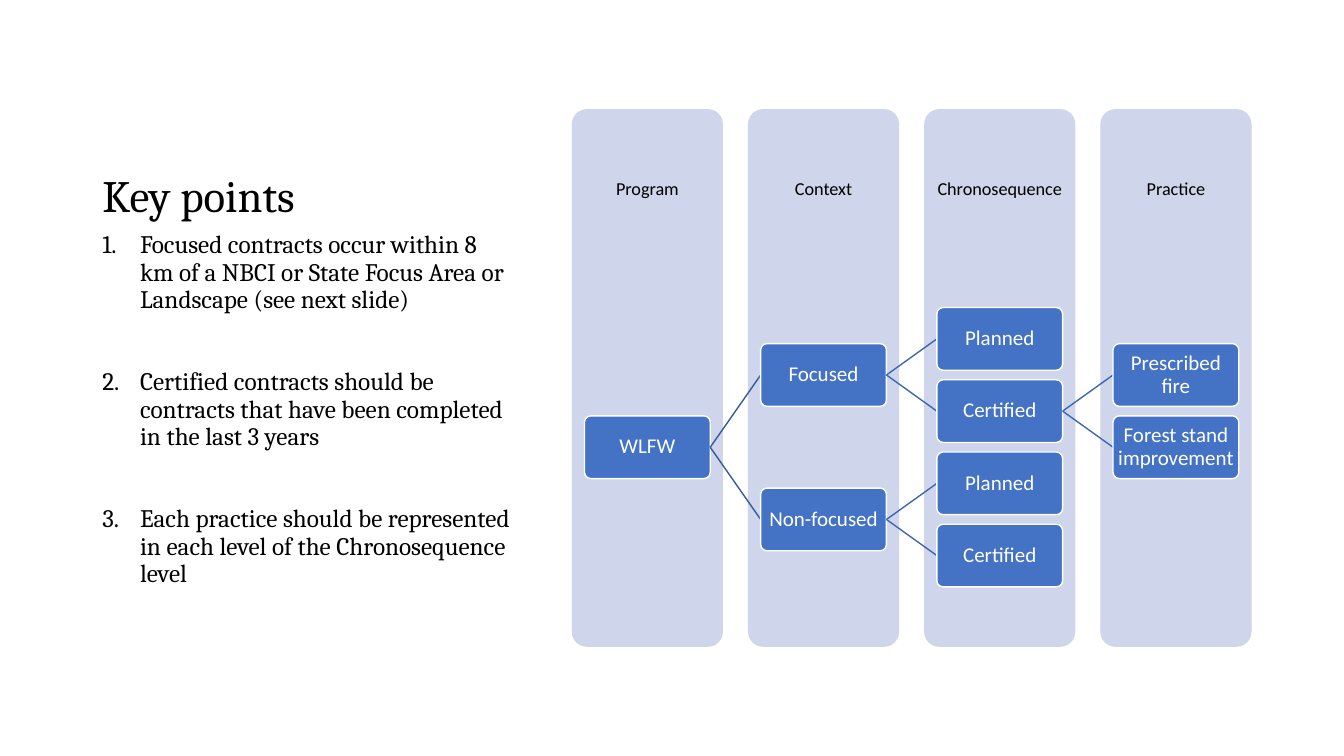
import dataclasses
import typing

import lxml.etree
import pptx
import pptx.dml.color
import pptx.enum.shapes
import pptx.enum.text
import pptx.oxml.ns
import pptx.util

Cm = pptx.util.Cm
Pt = pptx.util.Pt
RGBColor = pptx.dml.color.RGBColor
ALIGN = pptx.enum.text.PP_ALIGN
ANCHOR = pptx.enum.text.MSO_ANCHOR
ROUNDED = pptx.enum.shapes.MSO_SHAPE.ROUNDED_RECTANGLE
STRAIGHT = pptx.enum.shapes.MSO_CONNECTOR.STRAIGHT

BLACK = RGBColor(0x00, 0x00, 0x00)
WHITE = RGBColor(0xFF, 0xFF, 0xFF)
COLUMN_FILL = RGBColor(0xCF, 0xD5, 0xEA)
NODE_FILL = RGBColor(0x44, 0x72, 0xC4)
FIRST_LINK = RGBColor(0x36, 0x5B, 0x9D)
LATER_LINK = RGBColor(0x3E, 0x67, 0xB2)

COLUMN_LEFT, COLUMN_TOP = 14.41, 2.75
COLUMN_WIDTH, COLUMN_HEIGHT = 3.81, 13.55
COLUMN_STEP = 4.44
HEADING_HEIGHT = 4.06
NODE_WIDTH, NODE_HEIGHT = 3.17, 1.58
NODE_LEFT = COLUMN_LEFT + (COLUMN_WIDTH - NODE_WIDTH) / 2
NODE_TOP, HALF_ROW = 7.75, 0.91
TEXT_LEFT, TEXT_WIDTH = 2.33, 10.92

COLUMNS = ["Program", "Context", "Chronosequence", "Practice"]
KEY_POINTS = [
    "Focused contracts occur within 8 km of a NBCI or State Focus Area or Landscape (see next slide)",
    "Certified contracts should be contracts that have been completed in the last 3 years",
    "Each practice should be represented in each level of the Chronosequence level",
]


@dataclasses.dataclass(frozen=True)
class Node:
    label: str
    row: int
    children: typing.Tuple["Node", ...] = ()


@dataclasses.dataclass(frozen=True)
class TextStyle:
    font: str
    size: int
    color: RGBColor
    align: ALIGN
    anchor: ANCHOR
    margins: typing.Tuple[float, float] = (0.25, 0.13)
    gap: float = 0


TREE = Node("WLFW", 3, (
    Node("Focused", 1, (
        Node("Planned", 0),
        Node("Certified", 2, (
            Node("Prescribed fire", 1),
            Node("Forest stand improvement", 3),
        )),
    )),
    Node("Non-focused", 5, (
        Node("Planned", 4),
        Node("Certified", 6),
    )),
))

TITLE_STYLE = TextStyle("Cambria", 32, BLACK, ALIGN.LEFT, ANCHOR.BOTTOM)
POINT_STYLE = TextStyle("Cambria", 18, BLACK, ALIGN.LEFT, ANCHOR.TOP, gap=39.5)
HEADING_STYLE = TextStyle("Calibri", 13, BLACK, ALIGN.CENTER, ANCHOR.MIDDLE, (0.25, 0.25))
NODE_STYLE = TextStyle("Calibri", 15, WHITE, ALIGN.CENTER, ANCHOR.MIDDLE, (0.08, 0.08))


def apply_format(target: typing.Any, values: typing.Dict[str, typing.Any]) -> None:
    for name, value in values.items():
        setattr(target, name, value)


def write_text(box: typing.Any, lines: typing.List[str], style: TextStyle) -> None:
    frame = box.text_frame
    side, edge = style.margins
    apply_format(frame, {
        "word_wrap": True,
        "auto_size": pptx.enum.text.MSO_AUTO_SIZE.NONE,
        "vertical_anchor": style.anchor,
        "margin_left": Cm(side),
        "margin_right": Cm(side),
        "margin_top": Cm(edge),
        "margin_bottom": Cm(edge),
    })
    for index, line in enumerate(lines):
        para = frame.add_paragraph() if index else frame.paragraphs[0]
        apply_format(para, {
            "alignment": style.align,
            "line_spacing": 0.9,
            "space_before": Pt(style.gap if index else 0),
        })
        span = para.add_run()
        span.text = line
        apply_format(span.font, {"name": style.font, "size": Pt(style.size)})
        span.font.color.rgb = style.color


def number_paragraphs(box: typing.Any) -> None:
    indent = Cm(0.95)
    for para in box.text_frame.paragraphs:
        properties = para._p.get_or_add_pPr()
        properties.set("marL", str(indent))
        properties.set("indent", str(-indent))
        number = lxml.etree.SubElement(properties, pptx.oxml.ns.qn("a:buAutoNum"))
        number.set("type", "arabicPeriod")


def add_rounded(page: typing.Any, left: float, top: float, width: float,
                height: float, color: RGBColor) -> typing.Any:
    box = page.shapes.add_shape(ROUNDED, Cm(left), Cm(top), Cm(width), Cm(height))
    box.adjustments[0] = 0.1
    box.shadow.inherit = False
    box.fill.solid()
    box.fill.fore_color.rgb = color
    box.line.fill.background()
    return box


def draw_column(page: typing.Any, index: int, heading: str) -> None:
    left = COLUMN_LEFT + index * COLUMN_STEP
    add_rounded(page, left, COLUMN_TOP, COLUMN_WIDTH, COLUMN_HEIGHT, COLUMN_FILL)
    box = page.shapes.add_textbox(Cm(left), Cm(COLUMN_TOP), Cm(COLUMN_WIDTH), Cm(HEADING_HEIGHT))
    write_text(box, [heading], HEADING_STYLE)


def draw_link(page: typing.Any, parent: Node, child: Node, level: int) -> None:
    start = NODE_LEFT + level * COLUMN_STEP + NODE_WIDTH
    end = NODE_LEFT + (level + 1) * COLUMN_STEP
    middle = NODE_TOP + NODE_HEIGHT / 2
    link = page.shapes.add_connector(
        STRAIGHT, Cm(start), Cm(middle + parent.row * HALF_ROW),
        Cm(end), Cm(middle + child.row * HALF_ROW))
    link.line.width = Pt(1)
    link.line.color.rgb = LATER_LINK if level else FIRST_LINK
    lxml.etree.SubElement(link._element.spPr, pptx.oxml.ns.qn("a:effectLst"))


def draw_tree(page: typing.Any, node: Node, level: int = 0) -> None:
    box = add_rounded(page, NODE_LEFT + level * COLUMN_STEP, NODE_TOP + node.row * HALF_ROW,
                      NODE_WIDTH, NODE_HEIGHT, NODE_FILL)
    box.line.color.rgb = WHITE
    box.line.width = Pt(1)
    write_text(box, [node.label], NODE_STYLE)
    for child in node.children:
        draw_link(page, node, child, level)
        draw_tree(page, child, level + 1)


def main() -> None:
    deck = pptx.Presentation()
    apply_format(deck, {"slide_width": Cm(33.87), "slide_height": Cm(19.05)})
    page = deck.slides.add_slide(deck.slide_layouts.get_by_name("Title Only"))

    title = page.shapes.title
    apply_format(title, {
        "left": Cm(TEXT_LEFT), "top": Cm(1.27),
        "width": Cm(TEXT_WIDTH), "height": Cm(4.45),
    })
    write_text(title, ["Key points"], TITLE_STYLE)

    for index, heading in enumerate(COLUMNS):
        draw_column(page, index, heading)
    draw_tree(page, TREE)

    points = page.shapes.add_textbox(Cm(TEXT_LEFT), Cm(5.72), Cm(TEXT_WIDTH), Cm(10.59))
    write_text(points, KEY_POINTS, POINT_STYLE)
    number_paragraphs(points)

    deck.save("out.pptx")


if __name__ == "__main__":
    main()
